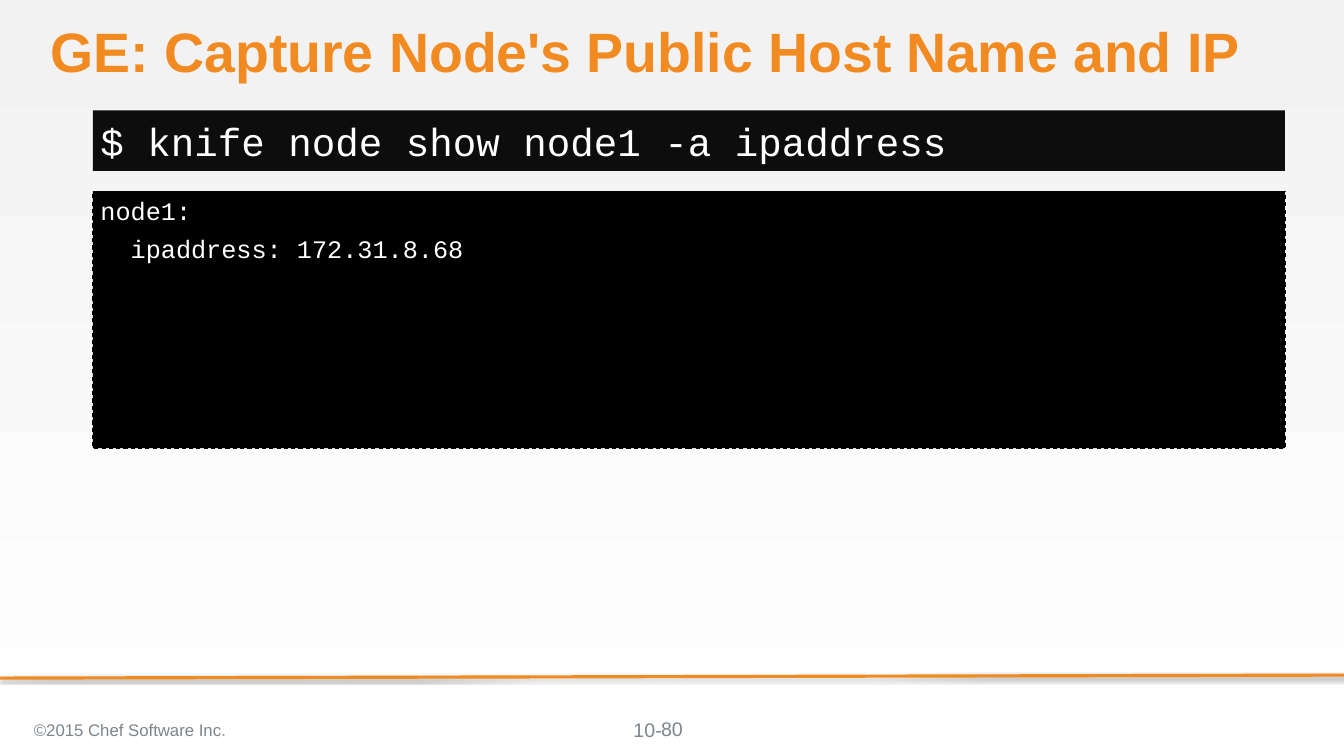
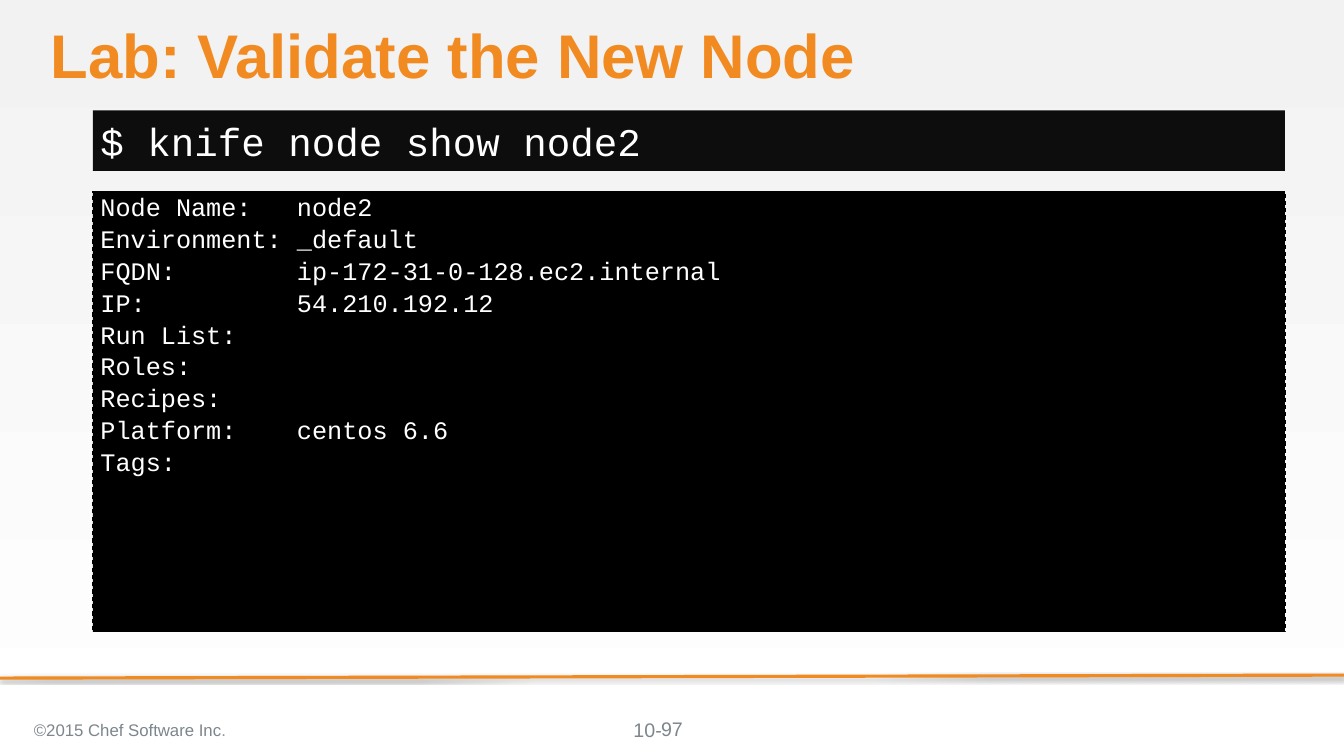
import pptx
import pptx.dml.color
import pptx.enum.dml
import pptx.enum.shapes
import pptx.enum.text
import pptx.util
import pptx.oxml
import pptx.oxml.ns

Inches = pptx.util.Inches
Pt = pptx.util.Pt
RGBColor = pptx.dml.color.RGBColor
ALIGN = pptx.enum.text.PP_ALIGN
ANCHOR = pptx.enum.text.MSO_ANCHOR

ORANGE = RGBColor(0xF1, 0x8B, 0x21)
GREY = RGBColor(0x7D, 0x86, 0x8C)
DOT_GREY = RGBColor(0x92, 0x94, 0x94)
PALE = RGBColor(0xF2, 0xF2, 0xF2)
WHITE = RGBColor(0xFF, 0xFF, 0xFF)
BLACK = RGBColor(0, 0, 0)
NEAR_BLACK = RGBColor(0x0D, 0x0D, 0x0D)

SANS, MONO = "Arial", "Courier New"
TERMINAL_LEFT, TERMINAL_WIDTH = 1.23, 15.77
DEFAULT_INSETS = (0.1, 0.05, 0.1, 0.05)
NO_INSETS = (0, 0, 0, 0)

RULE_SHADOW = (
    f'<a:effectLst {pptx.oxml.ns.nsdecls("a")}>'
    f'<a:outerShdw blurRad="{Pt(3.1)}" dist="{Pt(1.8)}" dir="5400000" rotWithShape="0">'
    '<a:srgbClr val="000000"><a:alpha val="35000"/></a:srgbClr>'
    "</a:outerShdw></a:effectLst>"
)

# title, title size, command, output height, output spacing, output lines, page number
SLIDES = [
    (
        "GE: Capture Node's Public Host Name and IP", 52.8,
        "$ knife node show node1 -a ipaddress",
        3.4, {"space_before": Pt(8)},
        ["node1:", "  ipaddress: 172.31.8.68"],
        "80",
    ),
    (
        "Lab: Validate the New Node", 58.7,
        "$ knife node show node2",
        5.83, {"line_spacing": 0.9, "space_after": Pt(4.4)},
        [
            "Node Name:   node2",
            "Environment: _default",
            "FQDN:        ip-172-31-0-128.ec2.internal",
            "IP:          54.210.192.12",
            "Run List:",
            "Roles:",
            "Recipes:",
            "Platform:    centos 6.6",
            "Tags:",
        ],
        "97",
    ),
]


def write(box, lines, size, color, font=SANS, bold=False, align=ALIGN.LEFT,
          anchor=ANCHOR.TOP, insets=DEFAULT_INSETS, spacing=None):
    """Fill a box with one paragraph per line, each a list of (text, colour) or a string."""
    frame = box.text_frame
    frame.word_wrap = True
    frame.vertical_anchor = anchor
    frame.margin_left, frame.margin_top, frame.margin_right, frame.margin_bottom = map(Inches, insets)
    for index, line in enumerate(lines):
        para = frame.add_paragraph() if index else frame.paragraphs[0]
        para.alignment = align
        for name, value in (spacing or {}).items():
            if index or name != "space_before":
                setattr(para, name, value)
        for text, span_color in [(line, color)] if isinstance(line, str) else line:
            span = para.add_run()
            span.text = text
            span.font.name = font
            span.font.size = Pt(size)
            span.font.bold = bold
            span.font.color.rgb = span_color


def add_terminal(page, top, height, fill):
    box = page.shapes.add_shape(
        pptx.enum.shapes.MSO_SHAPE.RECTANGLE,
        Inches(TERMINAL_LEFT), Inches(top), Inches(TERMINAL_WIDTH), Inches(height))
    box.shadow.inherit = False
    box.fill.solid()
    box.fill.fore_color.rgb = fill
    box.line.fill.background()
    return box


deck = pptx.Presentation()
deck.slide_width, deck.slide_height = Inches(17.78), Inches(10)

backdrop = deck.slide_master.background.fill
backdrop.gradient()
backdrop.gradient_angle = 270
for stop, color in zip(backdrop.gradient_stops, (PALE, WHITE)):
    stop.color.rgb = color

for title, title_size, command, output_height, spacing, output, number in SLIDES:
    page = deck.slides.add_slide(deck.slide_layouts[6])

    rule = page.shapes.add_connector(
        pptx.enum.shapes.MSO_CONNECTOR.STRAIGHT,
        Inches(17.78), Inches(8.93), Inches(0), Inches(8.97))
    rule.line.color.rgb = ORANGE
    rule.line.width = Pt(3)
    rule._element.spPr.append(pptx.oxml.parse_xml(RULE_SHADOW))

    output_box = add_terminal(page, 2.53, output_height, BLACK)
    output_box.line.color.rgb = BLACK
    output_box.line.width = Pt(1)
    output_box.line.dash_style = pptx.enum.dml.MSO_LINE.DASH
    write(output_box, output, 24, WHITE, MONO, spacing=spacing)

    title_box = page.shapes.add_textbox(Inches(0.67), Inches(0.33), Inches(16.33), Inches(0.91))
    write(title_box, [title], title_size, ORANGE, bold=True, insets=NO_INSETS,
          spacing={"line_spacing": 0.9})

    command_box = add_terminal(page, 1.46, 0.8, NEAR_BLACK)
    write(command_box, [command], 37.3, WHITE, MONO, anchor=ANCHOR.MIDDLE, insets=(0.1, 0, 0, 0))

    copyright_box = page.shapes.add_textbox(Inches(0.35), Inches(9.38), Inches(6.21), Inches(0.56))
    write(copyright_box, [[("©2015 Chef Software Inc", GREY), (".", DOT_GREY)]], 16, GREY,
          anchor=ANCHOR.MIDDLE)

    chapter_box = page.shapes.add_textbox(Inches(8.38), Inches(9.49), Inches(0.8), Inches(0.31))
    write(chapter_box, ["10-"], 18.7, GREY, insets=NO_INSETS)

    number_box = page.shapes.add_textbox(Inches(6.89), Inches(9.38), Inches(4), Inches(0.53))
    write(number_box, [number], 18.7, GREY, align=ALIGN.CENTER, anchor=ANCHOR.MIDDLE)

deck.save("out.pptx")
